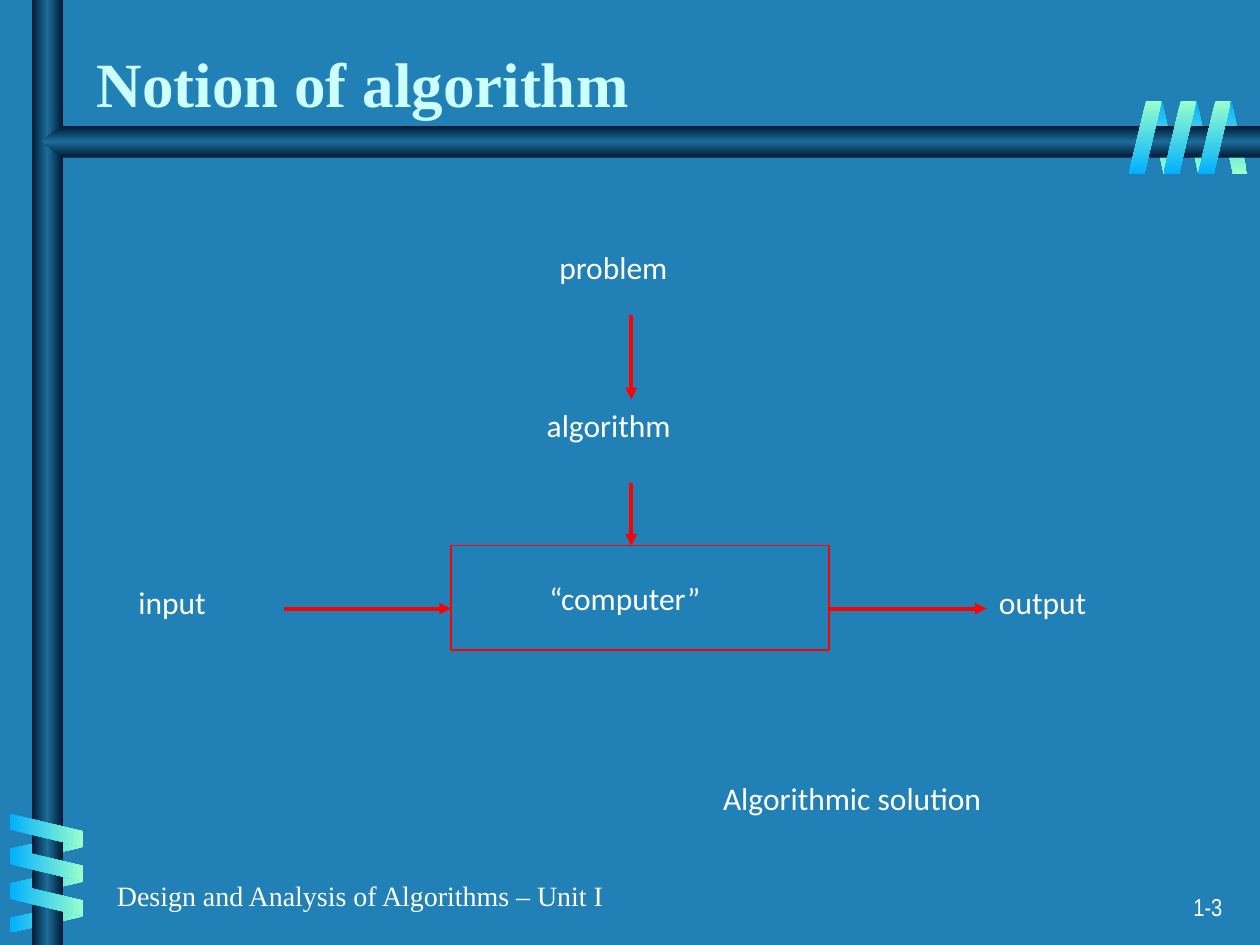
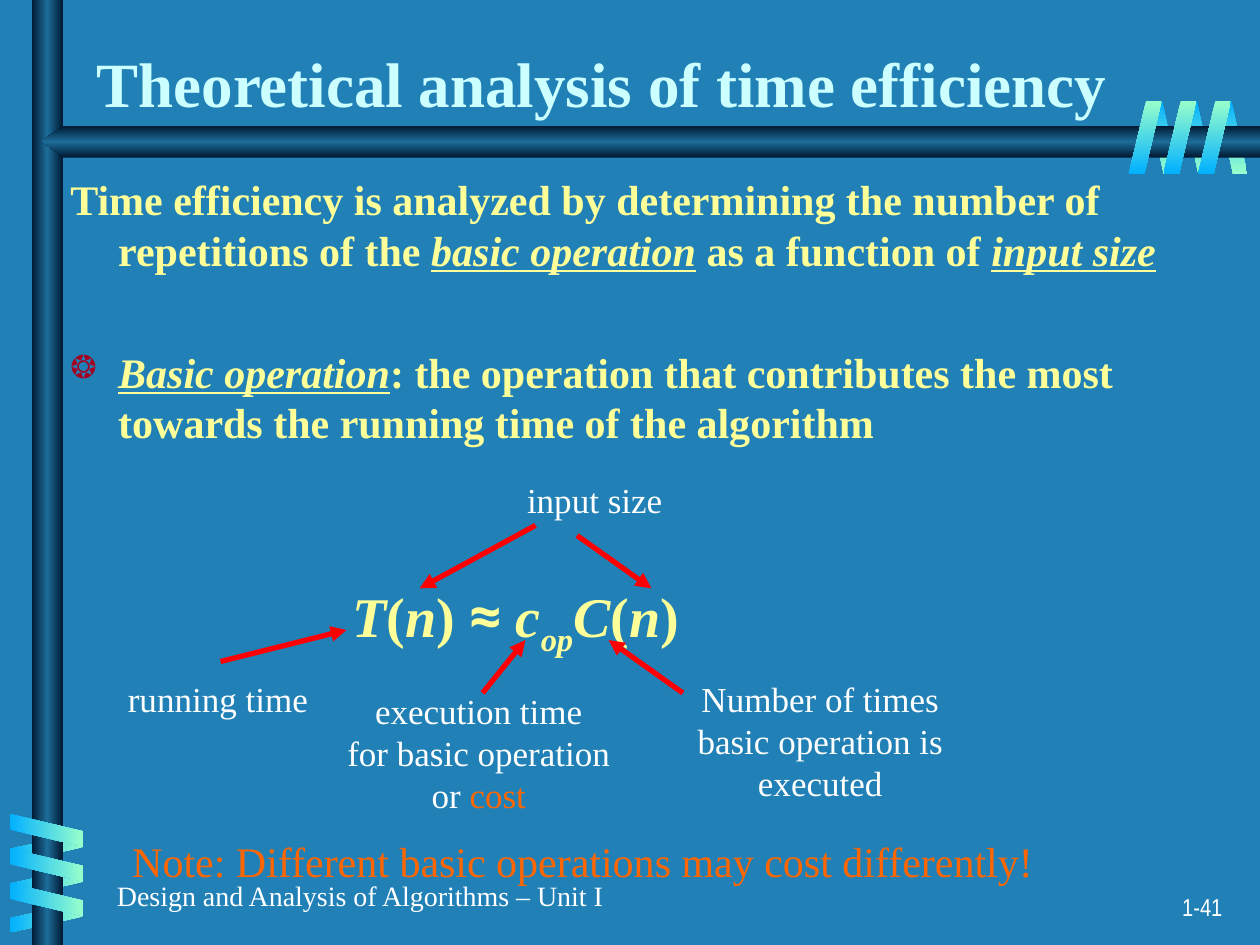
from lxml.etree import SubElement
from pptx import Presentation
from pptx.dml.color import RGBColor
from pptx.enum.shapes import MSO_CONNECTOR, MSO_SHAPE
from pptx.enum.text import MSO_ANCHOR, PP_ALIGN
from pptx.oxml.ns import qn
from pptx.util import Inches, Pt

WIDTH, HEIGHT = 10, 7.5
BLUE = RGBColor(0x21, 0x81, 0xB7)
NAVY = RGBColor(0x00, 0x19, 0x32)
STEEL = RGBColor(0x1C, 0x6D, 0x9A)
SKY = RGBColor(0x01, 0xB0, 0xFF)
MINT = RGBColor(0x99, 0xFF, 0xCC)
ICE = RGBColor(0xCC, 0xFF, 0xFF)
YELLOW = RGBColor(0xFF, 0xFF, 0x99)
ORANGE = RGBColor(0xFF, 0x66, 0x00)
CRIMSON = RGBColor(0xA5, 0x00, 0x21)
RED = RGBColor(0xFF, 0x00, 0x00)
WHITE = RGBColor(0xFF, 0xFF, 0xFF)
SERIF, SANS, NARROW, SYMBOL = "Times New Roman", "Calibri", "Arial Narrow", "Open Sans"

FOOTER = "Design and Analysis of Algorithms – Unit I"
RIBBON_STEP = 0.275
RIBBON_SKEW = 0.53

FLOW_LABELS = [
    ("problem", 4.34, 1.92, 1.31),
    ("algorithm", 4.24, 3.17, 1.35),
    ("input", 1, 4.58, 1.31),
    ("output", 7.83, 4.58, 1.31),
    ("Algorithmic solution", 5.64, 6.13, 2.57),
]
FLOW_ARROWS = [
    (5.01, 2.5, 5.01, 3.17),
    (5.01, 3.83, 5.01, 4.33),
    (2.25, 4.83, 3.58, 4.83),
    (6.58, 4.83, 7.83, 4.83),
]
COMPUTER_BOX = (3.58, 4.33, 3, 0.83)

EFFICIENCY_TEXT = [
    dict(left=0.38, hang=0.38, before=0, size=24, spans=[
        ("Time efficiency is analyzed by determining the number of repetitions of the ", ""),
        ("basic operation", "iu"), (" as a function of ", ""), ("input size", "iu")]),
    dict(left=0.38, hang=0.38, before=41, size=24, bullet="❂", spans=[
        ("Basic operation", "iu"),
        (": the operation that contributes the most towards the running time of the algorithm", "")]),
    dict(left=2.24, hang=0, before=77, size=32, spans=[
        ("T", "i"), ("(", ""), ("n", "i"), (") ", ""), ("≈ ", "m"), ("c", "i"),
        ("op", "is"), ("C", "i"), ("(", ""), ("n", "i"), (")", "")]),
]
FORMULA_LABELS = [
    (["input size"], 3.92, 3.75, 1.6, 0.44),
    (["running time"], 0.73, 5.33, 2, 0.44),
    (["execution time", "for basic operation", "or "], 2.6, 5.42, 2.4, 1.1),
    (["Number of times basic operation is executed"], 5.25, 5.33, 2.52, 1.1),
]
FORMULA_ARROWS = [
    (4.25, 4.17, 3.33, 4.67),
    (4.58, 4.25, 5.17, 4.67),
    (1.75, 5.25, 2.75, 5),
    (3.83, 5.5, 4.17, 5.08),
    (5.42, 5.5, 4.83, 5.08),
]
COST_WORD = "cost"
COST_NOTE = "Note: Different basic operations may cost differently!"


def style(font, size, color, face=SERIF, bold=False):
    font.size, font.name, font.bold = Pt(size), face, bold
    font.color.rgb = color


def add_text(page, lines, area, size, color, face=SERIF, bold=False,
             align=PP_ALIGN.LEFT, anchor=MSO_ANCHOR.TOP):
    box = page.shapes.add_textbox(*map(Inches, area))
    frame = box.text_frame
    frame.word_wrap = True
    frame.vertical_anchor = anchor
    frame.text = "\n".join(lines)
    for para in frame.paragraphs:
        para.alignment = align
        for span in para.runs:
            style(span.font, size, color, face, bold)
    return frame


def add_arrows(page, arrows, weight):
    for ends in arrows:
        arrow = page.shapes.add_connector(MSO_CONNECTOR.STRAIGHT, *map(Inches, ends))
        arrow.line.color.rgb = RED
        arrow.line.width = Pt(weight)
        SubElement(arrow.line._get_or_add_ln(), qn("a:tailEnd"), type="triangle")
        SubElement(arrow._element.spPr, qn("a:effectLst"))


def paint_gradient(shape, colors, angle):
    shape.shadow.inherit = False
    shape.line.fill.background()
    shape.fill.gradient()
    gradient = shape._element.spPr.find(qn("a:gradFill"))
    gradient.set("rotWithShape", "0")
    stops = gradient.find(qn("a:gsLst"))
    for stop in list(stops):
        stops.remove(stop)
    for index, color in enumerate(colors):
        place = 100000 * index // (len(colors) - 1)
        stop = SubElement(stops, qn("a:gs"), pos=str(place))
        SubElement(stop, qn("a:srgbClr"), val=str(color))
    line = gradient.find(qn("a:lin"))
    line.set("ang", str(angle * 60000))
    line.set("scaled", "0")


def add_ribbons(page, left, top, width, step, rotation, colors, angle, flip=False):
    for index in range(3):
        area = (left + step[0] * index, top + step[1] * index, width, 0.58)
        ribbon = page.shapes.add_shape(MSO_SHAPE.PARALLELOGRAM, *map(Inches, area))
        ribbon.adjustments[0] = RIBBON_SKEW
        ribbon.rotation = rotation
        if flip:
            ribbon._element.spPr.xfrm.set("flipH", "1")
        paint_gradient(ribbon, colors, angle)


def add_bars(page):
    post = page.shapes.add_shape(MSO_SHAPE.RECTANGLE, *map(Inches, (0.25, 0, 0.25, HEIGHT)))
    paint_gradient(post, (NAVY, STEEL, NAVY), 0)
    corners = [(WIDTH, 1), (0.5, 1), (0.33, 1.12), (0.5, 1.25), (WIDTH, 1.25)]
    points = [(Inches(x), Inches(y)) for x, y in corners]
    builder = page.shapes.build_freeform(*points[0])
    builder.add_line_segments(points[1:], close=True)
    paint_gradient(builder.convert_to_shape(), (NAVY, STEEL, NAVY), 90)


def add_page(deck, title, number):
    page = deck.slides.add_slide(deck.slide_layouts[6])
    page.background.fill.solid()
    page.background.fill.fore_color.rgb = BLUE
    across, down = (RIBBON_STEP, 0), (0, RIBBON_STEP)
    add_ribbons(page, 9.11, 0.8, 0.24, across, 180, (SKY, MINT), 90, flip=True)
    add_ribbons(page, 0.25, 6.44, 0.24, down, 90, (MINT, SKY), 0, flip=True)
    add_bars(page)
    add_ribbons(page, 0.24, 6.3, 0.26, down, 270, (SKY, MINT), 0)
    add_ribbons(page, 8.96, 0.8, 0.26, across, 0, (MINT, SKY), 90)
    add_text(page, [number], (7.72, 7.03, 2.08, 0.33), 14, WHITE, NARROW, align=PP_ALIGN.RIGHT)
    add_text(page, [FOOTER], (0.83, 6.92, 6.42, 0.37), 16, WHITE)
    add_text(page, [title], (0.67, 0.25, 8.3, 0.75), 36, ICE, bold=True, anchor=MSO_ANCHOR.BOTTOM)
    return page


def add_computer(page):
    box = page.shapes.add_shape(MSO_SHAPE.RECTANGLE, *map(Inches, COMPUTER_BOX))
    box.shadow.inherit = False
    box.fill.background()
    box.line.color.rgb = RED
    box.line.width = Pt(1)
    frame = box.text_frame
    frame.margin_left = Inches(0.78)
    frame.vertical_anchor = MSO_ANCHOR.MIDDLE
    frame.text = "“computer”"
    para = frame.paragraphs[0]
    para.alignment = PP_ALIGN.LEFT
    style(para.runs[0].font, 18, WHITE, SANS)


def add_bullet(para, mark):
    properties = para._p.get_or_add_pPr()
    color = SubElement(properties, qn("a:buClr"))
    SubElement(color, qn("a:srgbClr"), val=str(CRIMSON))
    SubElement(properties, qn("a:buSzPct"), val="75000")
    SubElement(properties, qn("a:buChar"), char=mark)


def add_body(page, items):
    box = page.shapes.add_textbox(*map(Inches, (0.46, 1.33, 9.08, 5.36)))
    frame = box.text_frame
    frame.word_wrap = True
    for index, item in enumerate(items):
        para = frame.add_paragraph() if index else frame.paragraphs[0]
        if "bullet" in item:
            add_bullet(para, item["bullet"])
        properties = para._p.get_or_add_pPr()
        properties.set("marL", str(Inches(item["left"])))
        properties.set("indent", str(-Inches(item["hang"])))
        if item["before"]:
            para.space_before = Pt(item["before"])
        for words, marks in item["spans"]:
            span = para.add_run()
            span.text = words
            style(span.font, item["size"], YELLOW, SYMBOL if "m" in marks else SERIF, True)
            span.font.italic = "i" in marks
            span.font.underline = "u" in marks
            if "s" in marks:
                span._r.get_or_add_rPr().set("baseline", "-25000")


def build_notion(deck):
    page = add_page(deck, "Notion of algorithm", "1-3")
    add_computer(page)
    for words, left, top, width in FLOW_LABELS:
        add_text(page, [words], (left, top, width, 0.4), 18, WHITE, SANS)
    add_arrows(page, FLOW_ARROWS, 2.25)


def build_efficiency(deck):
    page = add_page(deck, "Theoretical analysis of time efficiency", "1-41")
    add_body(page, EFFICIENCY_TEXT)
    for lines, *area in FORMULA_LABELS:
        frame = add_text(page, lines, area, 20, WHITE, align=PP_ALIGN.CENTER)
        if lines[-1] == "or ":
            span = frame.paragraphs[-1].add_run()
            span.text = COST_WORD
            style(span.font, 20, ORANGE)
    add_arrows(page, FORMULA_ARROWS, 3)
    add_text(page, [COST_NOTE], (0.75, 6.58, 7.75, 0.5), 24, ORANGE, align=PP_ALIGN.CENTER)


def main():
    deck = Presentation()
    deck.slide_width, deck.slide_height = Inches(WIDTH), Inches(HEIGHT)
    build_notion(deck)
    build_efficiency(deck)
    deck.save("out.pptx")


if __name__ == "__main__":
    main()
